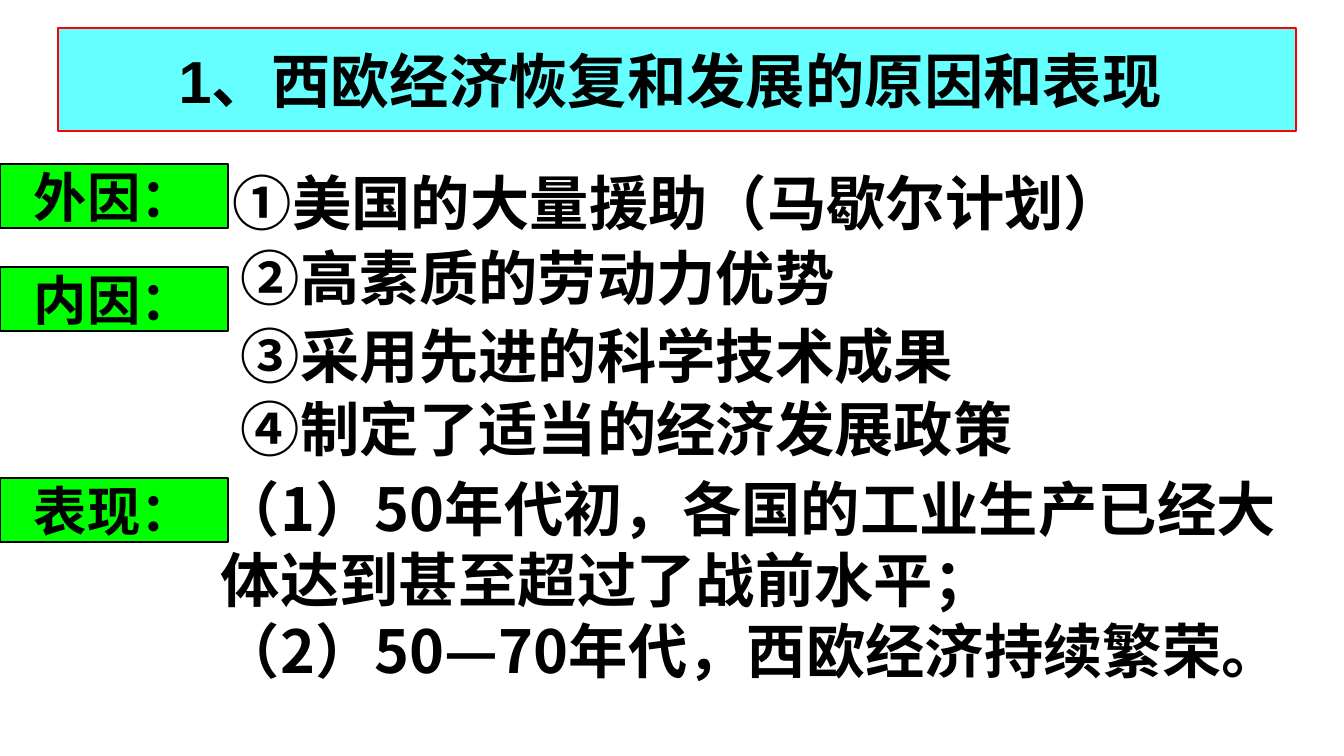
"""Builds the slide on the causes and signs of the West European recovery."""
from lxml import etree
from pptx import Presentation
from pptx import util as u
from pptx.dml.color import RGBColor
from pptx.enum import shapes, text
from pptx.oxml.ns import qn

PX = 4286
SLIDE_SIZE = (1344, 756)
LATIN, HAN = "Arial", "Noto Sans CJK SC"
BLACK, RED, CYAN, GREEN = "000000", "FF0000", "66FFFF", "00FF00"
NARROW_INSETS, WIDE_INSETS = (13, 6), (21, 11)

TITLE = ("1、西欧经济恢复和发展的原因和表现 ", (58, 28, 1238, 103))
INNER_CAUSES = ["②高素质的劳动力优势", "③采用先进的科学技术成果", "④制定了适当的经济发展政策"]
INNER_BOX = (228, 243, 1116, 243)
HANGING = 45
LABELS = [("外因：", 164), ("内因：", 267), ("表现：", 478)]
LABEL_SIZE = (228, 64)
OUTER_CAUSE = ("①美国的大量援助（马歇尔计划）", (220, 160, 915, 169))
SIGNS = [
    "（1）50年代初，各国的工业生产已经大体达到甚至超过了战前水平；",
    "（2）50—70年代，西欧经济持续繁荣。",
]
SIGNS_BOX = (200, 461, 1144, 235)


def px(length):
    return u.Emu(length * PX)


def color(value):
    return RGBColor.from_string(value)


def place(shape, box):
    shape.left, shape.top, shape.width, shape.height = map(px, box)


def paint(shape, fill, line):
    shape.fill.solid()
    shape.fill.fore_color.rgb = color(fill)
    shape.line.color.rgb = color(line)
    shape.line.width = u.Pt(0.75)
    shape.shadow.inherit = False


def write(shape, lines, size=20, font=HAN, align=text.PP_ALIGN.LEFT,
          anchor=text.MSO_ANCHOR.TOP, insets=NARROW_INSETS, wrap=True):
    frame = shape.text_frame
    frame.text = "\n".join(lines)
    frame.auto_size = text.MSO_AUTO_SIZE.NONE
    frame.word_wrap = wrap
    frame.vertical_anchor = anchor
    frame.margin_left = frame.margin_right = px(insets[0])
    frame.margin_top = frame.margin_bottom = px(insets[1])
    for paragraph in frame.paragraphs:
        paragraph.alignment = align
        paragraph.line_spacing = 1.0
        paragraph.space_before = u.Pt(0)
        paragraph.font.name = font
        paragraph.font.size = u.Pt(size)
        paragraph.font.bold = True
        paragraph.font.color.rgb = color(BLACK)
        defaults = paragraph._p.pPr.find(qn("a:defRPr"))
        etree.SubElement(defaults, qn("a:ea"), typeface=HAN)
    return frame.paragraphs


def hang(paragraph):
    properties = paragraph._p.pPr
    properties.set("marL", str(px(HANGING)))
    properties.set("indent", str(px(-HANGING)))
    bullet = etree.Element(qn("a:buNone"))
    properties.find(qn("a:defRPr")).addprevious(bullet)


def add_text(slide, lines, box, **style):
    return write(slide.shapes.add_textbox(*map(px, box)), lines, **style)


def add_label(slide, label, top):
    shape = slide.shapes.add_shape(
        shapes.MSO_SHAPE.RECTANGLE, *map(px, (0, top, *LABEL_SIZE)))
    paint(shape, GREEN, BLACK)
    write(shape, [label], size=18, font=LATIN, align=text.PP_ALIGN.CENTER,
          anchor=text.MSO_ANCHOR.MIDDLE, wrap=False)


def main():
    presentation = Presentation()
    presentation.slide_width, presentation.slide_height = map(px, SLIDE_SIZE)
    slide = presentation.slides.add_slide(presentation.slide_layouts[1])

    title, body = slide.placeholders
    heading, title_box = TITLE
    place(title, title_box)
    paint(title, CYAN, RED)
    write(title, [heading], font=LATIN, align=text.PP_ALIGN.CENTER,
          anchor=text.MSO_ANCHOR.MIDDLE)

    place(body, INNER_BOX)
    causes = write(body, INNER_CAUSES)
    for paragraph in causes:
        hang(paragraph)
    for paragraph in causes[:2]:
        paragraph.line_spacing = 0.9
        paragraph.space_before = u.Pt(5)

    for label, top in LABELS:
        add_label(slide, label, top)

    cause, cause_box = OUTER_CAUSE
    add_text(slide, [cause], cause_box, wrap=False)[0].space_before = u.Pt(5)
    add_text(slide, SIGNS, SIGNS_BOX, insets=WIDE_INSETS)
    presentation.save("out.pptx")


if __name__ == "__main__":
    main()
